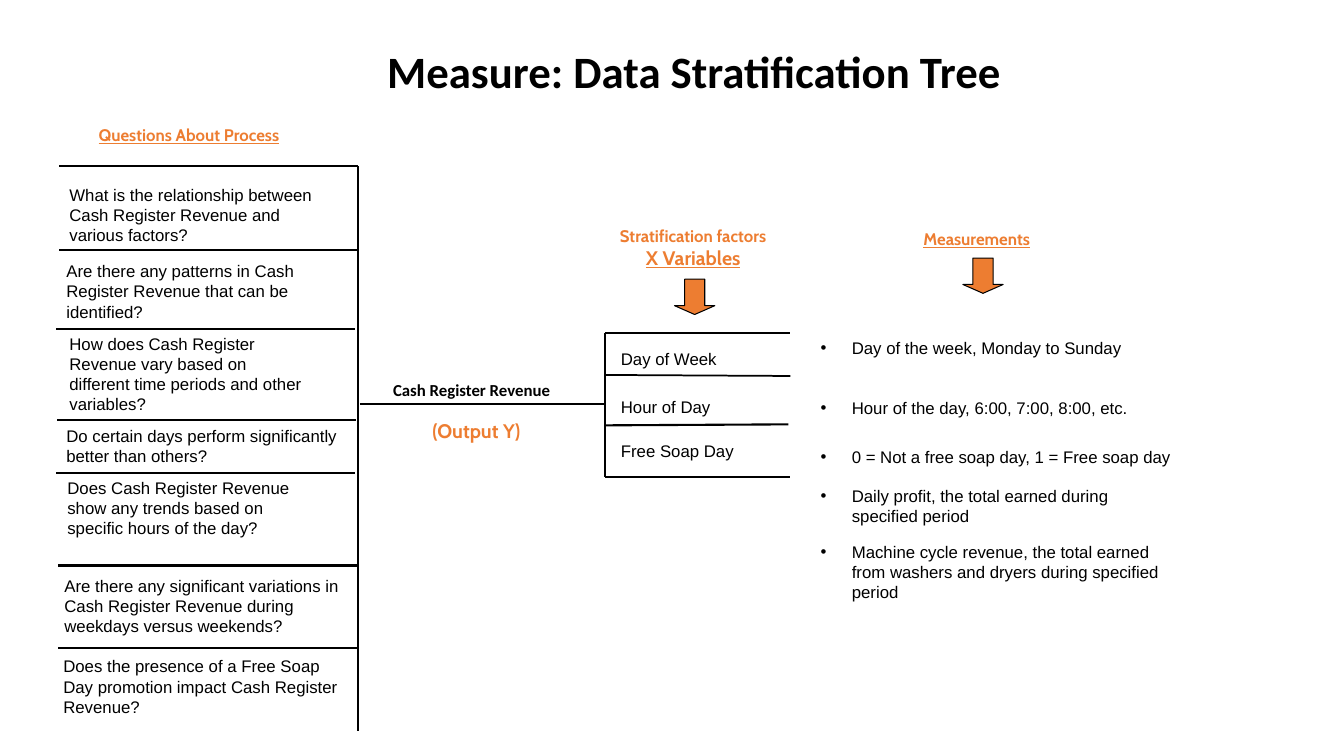
from pptx import Presentation
from pptx.dml.color import RGBColor
from pptx.enum.shapes import MSO_CONNECTOR, MSO_SHAPE
from pptx.enum.text import MSO_ANCHOR, MSO_AUTO_SIZE, PP_ALIGN
from pptx.oxml.ns import qn
from pptx.util import Emu, Pt
from lxml.etree import SubElement

PX = 9144  # 100 px to the inch
BLACK = RGBColor(0, 0, 0)
ORANGE = RGBColor(0xED, 0x7D, 0x31)

BODY = dict(name="Arial", size=Pt(12))
HEADING = dict(name="Cabin", size=Pt(12), bold=True)
UNDERLINED = dict(HEADING, underline=True)
LARGE = dict(HEADING, size=Pt(14))

deck = Presentation()
deck.slide_width, deck.slide_height = Emu(1333 * PX), Emu(750 * PX)
page = deck.slides.add_slide(deck.slide_layouts[5])


def add_text(place, lines, color=BLACK, align=PP_ALIGN.LEFT, wrap=True):
    box = page.shapes.add_textbox(*[Emu(n * PX) for n in place])
    frame = box.text_frame
    frame.word_wrap = wrap
    for index, (text, style) in enumerate(lines):
        para = frame.paragraphs[0] if index == 0 else frame.add_paragraph()
        para.alignment = align
        span = para.add_run()
        span.text = text
        span.font.color.rgb = color
        for key, value in style.items():
            setattr(span.font, key, value)
    return frame.paragraphs[0]


def add_line(x1, y1, x2, y2, width=1.5):
    line = page.shapes.add_connector(
        MSO_CONNECTOR.STRAIGHT, *[Emu(n * PX) for n in (x1, y1, x2, y2)])
    line.line.color.rgb = BLACK
    line.line.width = Pt(width)
    SubElement(line._element.spPr, qn("a:effectLst"))


# Title
title = page.shapes.title
for key, value in dict(left=374, top=32, width=634, height=83).items():
    setattr(title, key, Emu(value * PX))
title.text_frame.auto_size = MSO_AUTO_SIZE.NONE
title.text_frame.vertical_anchor = MSO_ANCHOR.MIDDLE
para = title.text_frame.paragraphs[0]
para.alignment = PP_ALIGN.LEFT
para.line_spacing = 0.9
span = para.add_run()
span.text = "Measure: Data Stratification Tree"
span.font.color.rgb = BLACK
for key, value in dict(name="Calibri", size=Pt(32), bold=True).items():
    setattr(span.font, key, value)

# Column headings
add_text((88, 119, 227, 30), [("Questions About Process", UNDERLINED)], ORANGE, wrap=False)
add_text((590, 219, 195, 54),
         [("Stratification factors", HEADING), ("X Variables", dict(LARGE, underline=True))],
         ORANGE, PP_ALIGN.CENTER, wrap=False)
add_text((906, 222, 143, 30), [("Measurements", UNDERLINED)], ORANGE, wrap=False)

# Arrows under the headings
for left, top in ((669, 277), (955, 256)):
    arrow = page.shapes.add_shape(
        MSO_SHAPE.DOWN_ARROW, *[Emu(n * PX) for n in (left, top, 40, 35)])
    arrow.adjustments[0], arrow.adjustments[1] = 0.5, 0.25
    arrow.shadow.inherit = False
    arrow.fill.solid()
    arrow.fill.fore_color.rgb = ORANGE
    arrow.line.color.rgb = BLACK
    arrow.line.width = Pt(0.75)

# Questions: left, top, width, height, text
questions = [
    (59, 178, 280, 71, "What is the relationship between Cash Register Revenue and various factors?"),
    (56, 254, 262, 71, "Are there any patterns in Cash Register Revenue that can be identified?"),
    (59, 326, 260, 91, "How does Cash Register Revenue vary based on different time periods and other variables?"),
    (56, 417, 294, 50, "Do certain days perform significantly better than others?"),
    (57, 469, 250, 71, "Does Cash Register Revenue show any trends based on specific hours of the day?"),
    (54, 566, 316, 71, "Are there any significant variations in Cash Register Revenue during weekdays versus weekends?"),
    (53, 646, 297, 71, "Does the presence of a Free Soap Day promotion impact Cash Register Revenue?"),
]
for *place, text in questions:
    add_text(place, [(text, BODY)])

# Rules above the questions, and their spine
for left, top in ((59, 165), (59, 248), (56, 326), (57, 417), (56, 469), (58, 561), (58, 643)):
    add_line(left, top, left + 296, top)
add_line(355, 725, 355, 165)

# Output trunk
add_line(357, 401, 601, 401)
add_text((380, 372, 178, 30),
         [("Cash Register Revenue", dict(name="Calibri", size=Pt(12), bold=True))], wrap=False)
output = add_text((406, 406, 133, 35), [("(Output Y)", LARGE)], ORANGE, PP_ALIGN.CENTER)
output.line_spacing = 1.2

# Stratification factors
for top, text in ((341, "Day of Week"), (389, "Hour of Day"), (432, "Free Soap Day")):
    add_text((606, top, 133, 30), [(text, BODY)], wrap=False)
add_line(600, 473, 600, 330)
for start, end, right, width in (
        (330, 330, 784, 1.5), (372, 373, 784, 1.25), (422, 421, 782, 1.5), (473, 473, 784, 1.5)):
    add_line(600, start, right, end, width)

# Measurements
measurements = [
    (330, 30, "Day of the week, Monday to Sunday"),
    (390, 30, "Hour of the day, 6:00, 7:00, 8:00, etc."),
    (438, 30, "0 = Not a free soap day, 1 = Free soap day"),
    (477, 50, "Daily profit, the total earned during specified period"),
    (532, 71, "Machine cycle revenue, the total earned from washers and dryers during specified period"),
]
for top, height, text in measurements:
    para = add_text((804, top, 369, height), [(text, BODY)])
    properties = para._p.get_or_add_pPr()
    properties.set("marL", str(31 * PX))
    properties.set("indent", str(-31 * PX))
    SubElement(properties, qn("a:buFont")).set("typeface", "Arial")
    SubElement(properties, qn("a:buChar")).set("char", "•")

deck.save("out.pptx")
